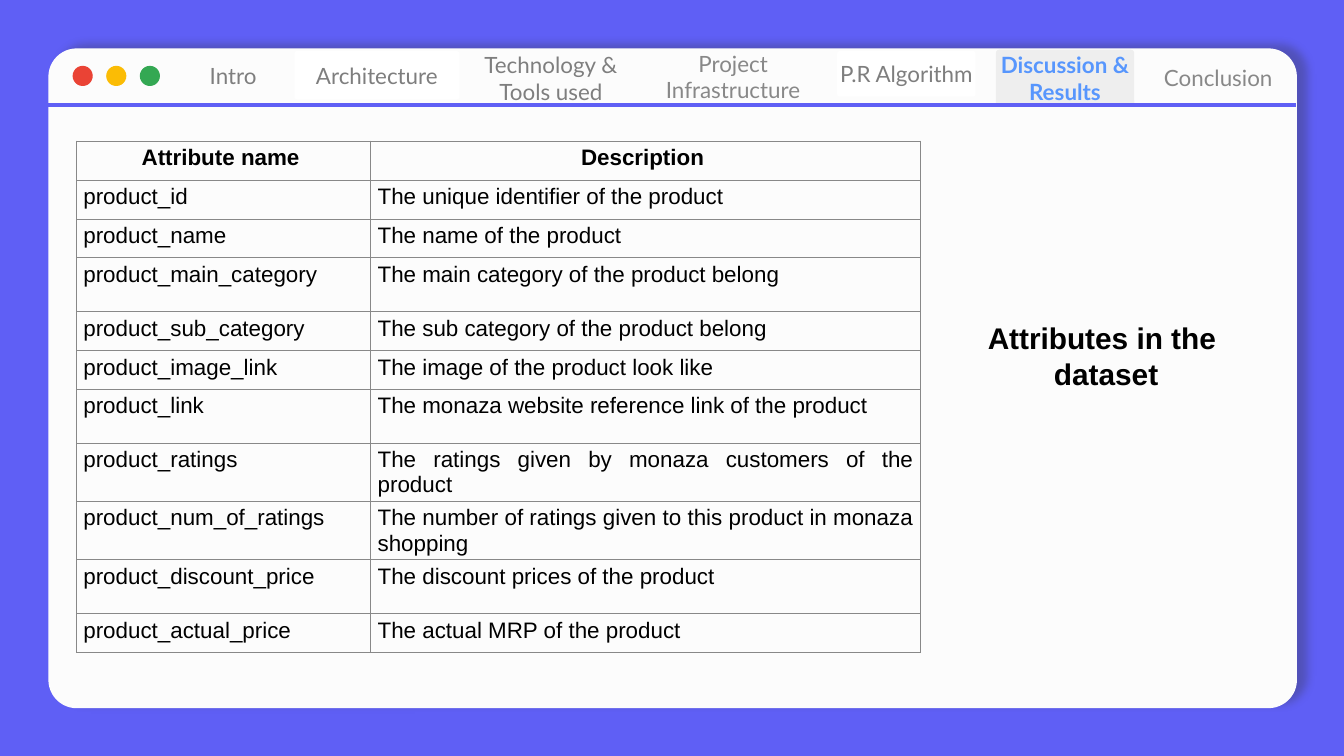
"""Build the dataset attributes slide with a browser-style tab bar."""
from lxml.etree import SubElement
from pptx import Presentation
from pptx.dml.color import RGBColor
from pptx.enum.shapes import MSO_CONNECTOR, MSO_SHAPE
from pptx.enum.text import MSO_ANCHOR, PP_ALIGN
from pptx.oxml import parse_xml
from pptx.oxml.ns import nsdecls, qn
from pptx.util import Inches, Pt

VIOLET = RGBColor(0x5F, 0x5F, 0xF5)
PANEL = RGBColor(0xFC, 0xFC, 0xFC)
WHITE = RGBColor(0xFF, 0xFF, 0xFF)
ACTIVE = RGBColor(0xEE, 0xEE, 0xEE)
BLUE = RGBColor(0x57, 0x96, 0xFD)
GREY = RGBColor(0x7E, 0x7E, 0x7E)
LIGHT_GREY = RGBColor(0x88, 0x88, 0x88)
BLACK = RGBColor(0, 0, 0)
DOTS = [RGBColor(0xEA, 0x43, 0x35), RGBColor(0xFB, 0xBC, 0x05), RGBColor(0x34, 0xA8, 0x53)]
NBSP = chr(160)

TABS = [
    ("Technology & Tools used", (3.45, 0.37, 1.3, 0.42), GREY, None),
    ("Project Infrastructure", (4.84, 0.36, 1.23, 0.42), LIGHT_GREY, None),
    ("P.R Algorithm", (6.23, 0.38, 1.03, 0.34), GREY, WHITE),
    ("Conclusion", (8.55, 0.37, 1.03, 0.42), LIGHT_GREY, None),
    ("Intro", (1.32, 0.37, 0.83, 0.39), GREY, PANEL),
    ("Architecture", (2.19, 0.38, 1.23, 0.36), GREY, WHITE),
]
SHORT, TALL = 0.29, 0.4
ATTRIBUTES = [
    ("Attribute name", "Description", SHORT),
    ("product_id", "The unique identifier of the product", SHORT),
    ("product_name", "The name of the product", SHORT),
    ("product_main_category", "The main category of the product belong", TALL),
    ("product_sub_category", "The sub category of the product belong", SHORT),
    ("product_image_link", "The image of the product look like", SHORT),
    ("product_link", "The monaza website reference link of the product", TALL),
    ("product_ratings", "The ratings given by monaza customers of the product", TALL),
    ("product_num_of_ratings",
     "The number of ratings given to this product in monaza shopping", TALL),
    ("product_discount_price", "The discount prices of the product", TALL),
    ("product_actual_price", "The actual MRP of the product", SHORT),
]


class Deck:
    """Hold the fonts and the current slide, and draw each kind of element."""

    heading_font, tab_font, size = "Arial", "Lato", 12

    def __init__(self, prs):
        self.s = prs.slides.add_slide(prs.slide_layouts[5])
        fill = self.s.background.fill
        fill.solid()
        fill.fore_color.rgb = VIOLET

    def style(self, p, font, size, color, bold=False, align=PP_ALIGN.CENTER):
        p.alignment = align
        p.font.name, p.font.size, p.font.bold = font, Pt(size), bold
        p.font.color.rgb = color

    def shape(self, kind, box, fill=None, radius=None, parent=None):
        sp = (parent or self.s).shapes.add_shape(kind, *map(Inches, box))
        sp.shadow.inherit = False
        sp.line.fill.background()
        if fill is None:
            sp.fill.background()
        else:
            sp.fill.solid()
            sp.fill.fore_color.rgb = fill
        if radius is not None:
            sp.adjustments[0] = radius
        return sp

    def panel(self, box):
        sp = self.shape(MSO_SHAPE.ROUNDED_RECTANGLE, box, PANEL, 0.043)
        effects = sp._element.spPr.find(qn("a:effectLst"))
        effects.append(parse_xml(
            f'<a:outerShdw {nsdecls("a")} blurRad="{Pt(4.5)}" dist="{Pt(6)}" '
            f'dir="{342 * 60000}" algn="bl" rotWithShape="0"><a:srgbClr val="313131">'
            '<a:alpha val="30000"/></a:srgbClr></a:outerShdw>'))

    def tab(self, text, box, color, fill, bold=False):
        tf = self.shape(MSO_SHAPE.ROUNDED_RECTANGLE, box, fill, 0.06).text_frame
        tf.margin_left = tf.margin_right = tf.margin_top = tf.margin_bottom = 0
        tf.word_wrap, tf.vertical_anchor = True, MSO_ANCHOR.MIDDLE
        tf.text = text
        self.style(tf.paragraphs[0], self.tab_font, self.size, color, bold)

    def dots(self, left, top, step, size):
        group = self.s.shapes.add_group_shape()
        for i, color in reversed(list(enumerate(DOTS))):
            self.shape(MSO_SHAPE.OVAL, (left + i * step, top, size, size), color, parent=group)

    def rule(self, x1, x2, y):
        line = self.s.shapes.add_connector(
            MSO_CONNECTOR.STRAIGHT, Inches(x1), Inches(y), Inches(x2), Inches(y))
        line.line.color.rgb, line.line.width = VIOLET, Pt(2.25)
        SubElement(line._element.spPr, qn("a:effectLst"))

    def cell(self, cell, text, header):
        cell.margin_left = cell.margin_right = Inches(0.05)
        cell.margin_top = cell.margin_bottom = Inches(0.03)
        cell.text = text + NBSP
        self.style(cell.text_frame.paragraphs[0], self.heading_font, self.size, BLACK,
                   header, PP_ALIGN.CENTER if header else PP_ALIGN.JUSTIFY)
        tcPr = cell._tc.get_or_add_tcPr()
        for side in ("lnL", "lnR", "lnT", "lnB"):
            tcPr.append(parse_xml(
                f'<a:{side} {nsdecls("a")} w="{Pt(0.6)}"><a:solidFill>'
                f'<a:srgbClr val="{LIGHT_GREY}"/></a:solidFill></a:{side}>'))
        cell.fill.background()

    def table(self, left, top, widths, rows):
        height = sum(row[-1] for row in rows)
        box = map(Inches, (left, top, sum(widths), height))
        table = self.s.shapes.add_table(len(rows), len(widths), *box).table
        table.first_row = table.horz_banding = False
        for column, width in zip(table.columns, widths):
            column.width = Inches(width)
        for i, (*texts, row_height) in enumerate(rows):
            table.rows[i].height = Inches(row_height)
            for j, text in enumerate(texts):
                self.cell(table.cell(i, j), text, i == 0)

    def title(self, lines, box):
        sp = self.s.shapes.title
        sp.left, sp.top, sp.width, sp.height = map(Inches, box)
        tf = sp.text_frame
        tf.text = "\n".join(lines)
        tf.word_wrap, tf.vertical_anchor = True, MSO_ANCHOR.TOP
        for p in tf.paragraphs:
            self.style(p, self.heading_font, 16, BLACK, True)
        self.s.shapes._spTree.append(sp._element)


def main():
    prs = Presentation()
    prs.slide_width = Inches(10)
    prs.slide_height = prs.slide_width * 9 // 16
    deck = Deck(prs)
    deck.panel((0.36, 0.36, 9.29, 4.91))
    deck.tab("Discussion & Results", (7.41, 0.37, 1.03, 0.42), BLUE, ACTIVE, bold=True)
    deck.dots(0.54, 0.49, 0.25, 0.15)
    deck.rule(0.36, 9.64, 0.78)
    for tab in TABS:
        deck.tab(*tab)
    deck.table(0.57, 1.05, (2.19, 4.09), ATTRIBUTES)
    deck.title(["Attributes in the ", "dataset"], (6.74, 2.33, 2.98, 0.64))
    prs.save("out.pptx")


if __name__ == "__main__":
    main()
